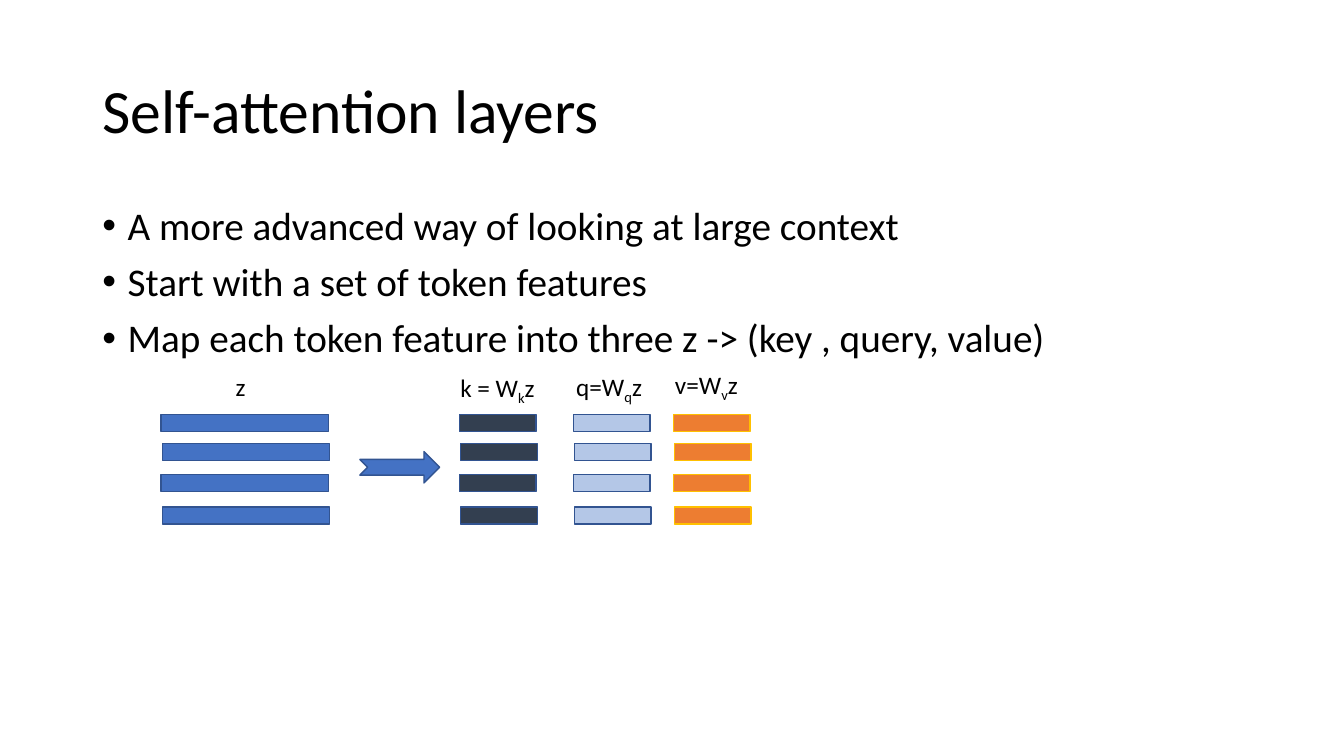
from lxml import etree
from pptx import Presentation
from pptx.dml.color import RGBColor
from pptx.enum.shapes import MSO_SHAPE
from pptx.enum.text import MSO_ANCHOR, MSO_AUTO_SIZE, PP_ALIGN
from pptx.oxml.ns import qn
from pptx.util import Cm, Pt

RECTANGLE = MSO_SHAPE.RECTANGLE
NOTCHED_ARROW = MSO_SHAPE.NOTCHED_RIGHT_ARROW
TOP, MIDDLE = MSO_ANCHOR.TOP, MSO_ANCHOR.MIDDLE
NO_AUTOFIT = MSO_AUTO_SIZE.NONE
LEFT = PP_ALIGN.LEFT

FONT = "Calibri"
BLACK, BLUE, NAVY = "000000", "4472C4", "325491"
SLATE, PALE_BLUE, ORANGE, GOLD = "333F50", "B4C7E7", "ED7D31", "FFC000"

BAR_HEIGHT = 0.43
BAR_TOPS = (0, 0.74, 1.52, 2.34)
BAR_STAGGER = 0.03  # every second bar sits slightly to the right
LABEL_HEIGHT = 1.02

# bar left, bar width, fill, line, label left, label top, label width, label parts
FEATURE_COLUMNS = (
    (0, 4.22, BLUE, NAVY, 1.63, 0.05, 0.97, ("z",)),
    (7.52, 1.93, SLATE, NAVY, 7.29, 0.08, 2.64, ("k = W", "k", "z")),
    (10.39, 1.93, PALE_BLUE, NAVY, 10.21, 0.05, 2.26, ("q=W", "q", "z")),
    (12.91, 1.93, ORANGE, GOLD, 12.7, 0, 2.57, ("v=W", "v", "z")),
)
POINTS = (
    "A more advanced way of looking at large context",
    "Start with a set of token features",
    "Map each token feature into three z -> (key , query, value)",
)


def colour(hex_string):
    return RGBColor.from_string(hex_string)


def add_text(paragraph, text, size=18, color=BLACK, subscript=False):
    run = paragraph.add_run()
    run.text = text
    run.font.name = FONT
    run.font.size = Pt(size)
    run.font.color.rgb = colour(color)
    if subscript:
        run._r.get_or_add_rPr().set("baseline", "-25000")


def add_bullet(paragraph):
    properties = paragraph._p.get_or_add_pPr()
    properties.set("marL", str(Cm(0.64)))
    properties.set("indent", str(-Cm(0.64)))
    etree.SubElement(properties, qn("a:buFont")).set("typeface", "Arial")
    etree.SubElement(properties, qn("a:buChar")).set("char", "•")


def add_block(slide, preset, left, top, width, height, fill, line):
    block = slide.shapes.add_shape(preset, Cm(left), Cm(top), Cm(width), Cm(height))
    block.shadow.inherit = False
    block.fill.solid()
    block.fill.fore_color.rgb = colour(fill)
    block.line.color.rgb = colour(line)
    block.line.width = Pt(1)


def place_heading(slide, left, top, width, height):
    heading = slide.shapes.title
    heading.left, heading.top = Cm(left), Cm(top)
    heading.width, heading.height = Cm(width), Cm(height)
    frame = heading.text_frame
    frame.auto_size = NO_AUTOFIT
    frame.vertical_anchor = MIDDLE
    paragraph = frame.paragraphs[0]
    paragraph.alignment = LEFT
    paragraph.line_spacing = 0.9
    add_text(paragraph, "Self-attention layers", size=44)


def place_points(slide, left, top, width, height):
    frame = slide.shapes.add_textbox(Cm(left), Cm(top), Cm(width), Cm(height)).text_frame
    frame.word_wrap = True
    frame.vertical_anchor = TOP
    for index, point in enumerate(POINTS):
        paragraph = frame.add_paragraph() if index else frame.paragraphs[0]
        add_bullet(paragraph)
        paragraph.line_spacing = 0.9
        paragraph.space_before = Pt(10 if index else 0)
        add_text(paragraph, point, size=28)


def place_projection(slide, left, top):
    """Token features on the left, their key, query and value on the right."""
    bars_top = top + 1.27
    for bar_x, bar_width, fill, line, label_x, label_y, label_width, parts in FEATURE_COLUMNS:
        # Stack of token bars
        for row, bar_y in enumerate(BAR_TOPS):
            add_block(slide, RECTANGLE, left + bar_x + row % 2 * BAR_STAGGER,
                      bars_top + bar_y, bar_width, BAR_HEIGHT, fill, line)
        # Formula above the stack
        formula = slide.shapes.add_textbox(Cm(left + label_x), Cm(top + label_y),
                                           Cm(label_width), Cm(LABEL_HEIGHT))
        formula.text_frame.word_wrap = True
        for position, part in enumerate(parts):
            add_text(formula.text_frame.paragraphs[0], part, subscript=position == 1)
    # Mapping arrow
    add_block(slide, NOTCHED_ARROW, left + 5.01, top + 2.21, 2.01, 0.79, BLUE, NAVY)


def main():
    deck = Presentation()
    deck.slide_width, deck.slide_height = Cm(33.87), Cm(19.05)
    slide = deck.slides.add_slide(deck.slide_layouts[5])
    place_heading(slide, 2.33, 1.01, 29.21, 3.68)
    place_points(slide, 2.33, 5.07, 29.21, 12.09)
    place_projection(slide, 4.06, 9.17)
    deck.save("out.pptx")


if __name__ == "__main__":
    main()
